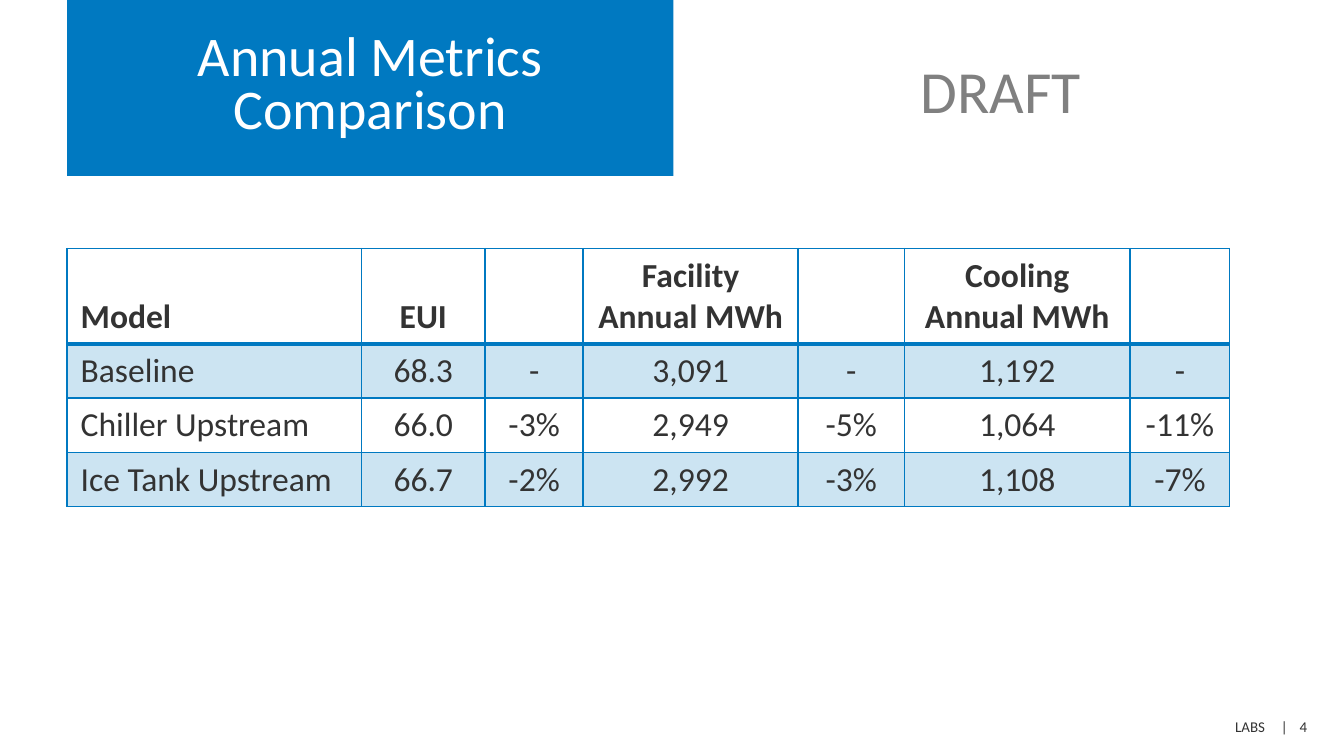
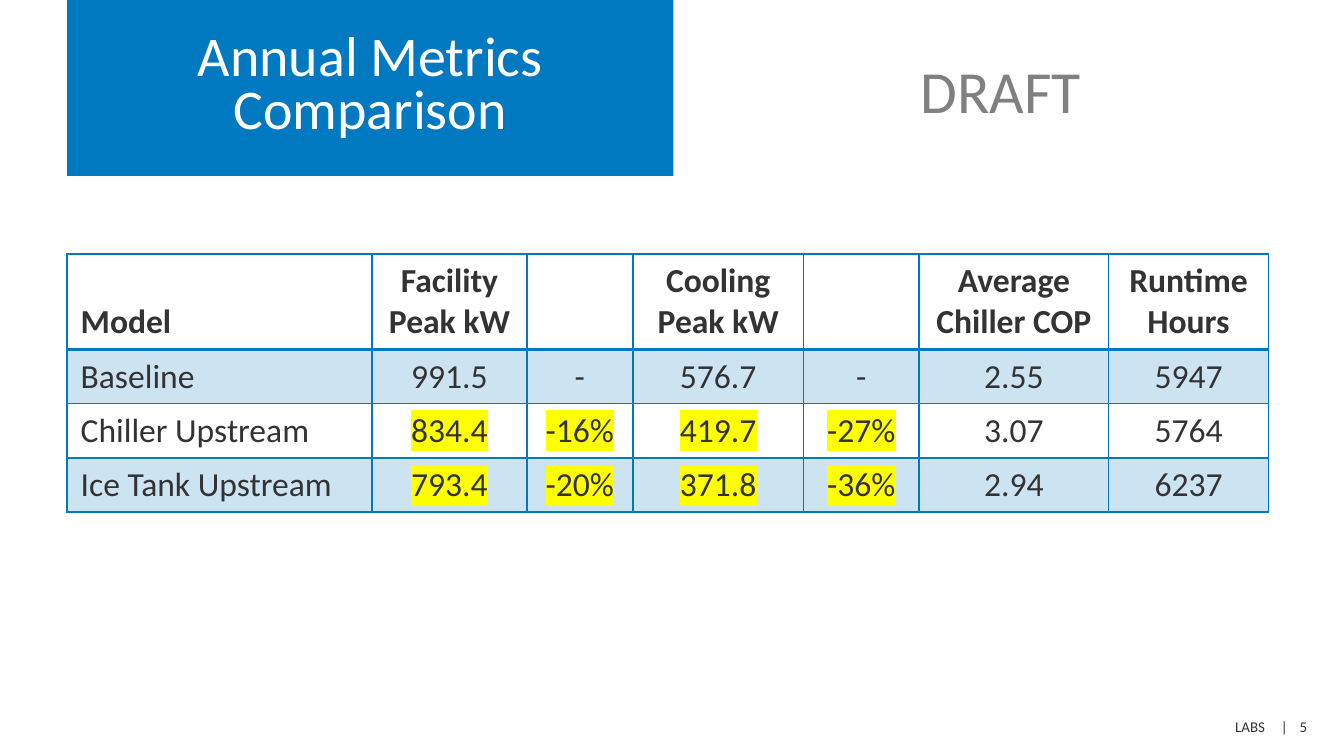
from lxml import etree
from pptx import Presentation
from pptx import util as u
from pptx.dml.color import RGBColor
from pptx.enum import text
from pptx.oxml.ns import qn

FONT = "Calibri"
BLUE, WHITE, INK, GREY, YELLOW = "0079C1", "FFFFFF", "333333", "808080", "FFFF00"
MARGIN = 0.5
TABLE_HEIGHT, HEADER_HEIGHT = 1.92, 0.71
CENTER, LEFT = text.PP_ALIGN.CENTER, text.PP_ALIGN.LEFT

ANNUAL = {
    "top": 1.85,
    "widths": [2.19, 0.92, 0.73, 1.6, 0.79, 1.68, 0.74],
    "rows": [
        ["Model", "EUI", "", "Facility Annual MWh", "", "Cooling Annual MWh", ""],
        ["Baseline", "68.3", "-", "3,091", "-", "1,192", "-"],
        ["Chiller Upstream", "66.0", "-3%", "2,949", "-5%", "1,064", "-11%"],
        ["Ice Tank Upstream", "66.7", "-2%", "2,992", "-3%", "1,108", "-7%"],
    ],
    "marked_rows": (),
    "marked_columns": (),
}
PEAK = {
    "top": 1.89,
    "widths": [2.27, 1.15, 0.79, 1.27, 0.86, 1.41, 1.19],
    "rows": [
        ["Model", "Facility Peak kW", "", "Cooling Peak kW", "",
         "Average Chiller COP", "Runtime Hours"],
        ["Baseline", "991.5", "-", "576.7", "-", "2.55", "5947"],
        ["Chiller Upstream", "834.4", "-16%", "419.7", "-27%", "3.07", "5764"],
        ["Ice Tank Upstream", "793.4", "-20%", "371.8", "-36%", "2.94", "6237"],
    ],
    "marked_rows": (2, 3),
    "marked_columns": (1, 2, 3, 4),
}


def paint(color_format, color):
    """Apply a hex colour to a colour format."""
    color_format.rgb = RGBColor.from_string(color)


def fill_solid(fill, color):
    """Give a fill one solid colour."""
    fill.solid()
    paint(fill.fore_color, color)


def add_color(parent, color):
    """Append a colour element and return it."""
    return etree.SubElement(parent, qn("a:srgbClr"), val=color)


def write(frame, words, size, color, align, bold=False):
    """Write one formatted paragraph into a text frame and return it."""
    frame.text = words
    para = frame.paragraphs[0]
    para.alignment = align
    para.font.size = u.Pt(size)
    for span in para.runs:
        span.font.name = FONT
        span.font.size = u.Pt(size)
        span.font.bold = bold
        paint(span.font.color, color)
    return para


def highlight(para, color):
    """Mark every run of a paragraph with a background colour."""
    for span in para.runs:
        mark = etree.Element(qn("a:highlight"))
        add_color(mark, color)
        span.font._element.find(qn("a:solidFill")).addnext(mark)


def add_tabs(para, stops):
    """Set left tab stops, in inches from the start of the text."""
    tabs = etree.Element(qn("a:tabLst"))
    for stop in stops:
        etree.SubElement(tabs, qn("a:tab"), pos=str(u.Inches(stop)), algn="l")
    para._p.get_or_add_pPr().insert(0, tabs)


def add_box(page, left, top, width, height):
    """Add a wrapping text box and return its text frame."""
    box = page.shapes.add_textbox(*map(u.Inches, (left, top, width, height)))
    box.text_frame.word_wrap = True
    return box.text_frame


def add_title(page, left, top, width, height):
    """Turn the title placeholder into the blue title band."""
    title = page.shapes.title
    title.left, title.top, title.width, title.height = map(
        u.Inches, (left, top, width, height))
    fill_solid(title.fill, BLUE)
    frame = title.text_frame
    frame.auto_size = text.MSO_AUTO_SIZE.NONE
    frame.vertical_anchor = text.MSO_ANCHOR.MIDDLE
    para = write(frame, "Annual Metrics Comparison", 30, WHITE, CENTER)
    para.line_spacing = u.Pt(28)


def add_footer(page, left, top, width, height, number):
    """Place the organisation, divider and page number."""
    frame = add_box(page, left, top, width, height)
    frame.margin_left = u.Inches(width - 0.64)
    frame.margin_right = 0
    para = write(frame, f"LABS\t|\t{number}", 8, INK, LEFT)
    add_tabs(para, (0.34, 0.48))


def add_borders(cell, row):
    """Outline a cell, with a heavier rule below the header row."""
    heavy = {(0, "B"), (1, "T")}
    properties = cell._tc.get_or_add_tcPr()
    for side in "LRTB":
        points = 2 if (row, side) in heavy else 1
        line = etree.SubElement(properties, qn(f"a:ln{side}"), w=str(u.Pt(points)))
        add_color(etree.SubElement(line, qn("a:solidFill")), BLUE)


def shade(cell, row):
    """Tint the odd rows and leave the others clear."""
    if row % 2 == 0:
        cell.fill.background()
        return
    fill_solid(cell.fill, BLUE)
    color = cell._tc.tcPr.find(qn("a:solidFill")).find(qn("a:srgbClr"))
    etree.SubElement(color, qn("a:alpha"), val="20000")


def add_metrics(page, left, metrics):
    """Build the metrics table at its top edge, from the given left edge."""
    rows, widths = metrics["rows"], metrics["widths"]
    row_height = (TABLE_HEIGHT - HEADER_HEIGHT) / (len(rows) - 1)
    table = page.shapes.add_table(
        len(rows), len(widths),
        *map(u.Inches, (left, metrics["top"], sum(widths), TABLE_HEIGHT))).table
    table.first_row = table.horz_banding = False
    for column, width in zip(table.columns, widths):
        column.width = u.Inches(width)
    for row, values in enumerate(rows):
        header = row == 0
        table.rows[row].height = u.Inches(HEADER_HEIGHT if header else row_height)
        for column, value in enumerate(values):
            cell = table.cell(row, column)
            add_borders(cell, row)
            shade(cell, row)
            if header:
                cell.vertical_anchor = text.MSO_ANCHOR.BOTTOM
            para = write(cell.text_frame, value, 18, INK,
                         CENTER if column else LEFT, header)
            if row in metrics["marked_rows"] and column in metrics["marked_columns"]:
                highlight(para, YELLOW)


def add_metrics_slide(deck, number, metrics):
    """Add one titled draft slide with its metrics table."""
    page = deck.slides.add_slide(deck.slide_layouts[5])
    fill_solid(page.background.fill, WHITE)
    write(add_box(page, 6.45, 0.35, 1.99, 0.64), "DRAFT", 32, GREY, CENTER)
    add_footer(page, 7.34, 5.29, 2.49, 0.24, number)
    add_title(page, MARGIN, 0, 4.51, 1.31)
    add_metrics(page, MARGIN, metrics)


def main():
    """Build and save the deck."""
    deck = Presentation()
    deck.slide_width = u.Inches(10)
    deck.slide_height = deck.slide_width * 9 // 16
    for number, metrics in enumerate((ANNUAL, PEAK), start=4):
        add_metrics_slide(deck, number, metrics)
    deck.save("out.pptx")


if __name__ == "__main__":
    main()
